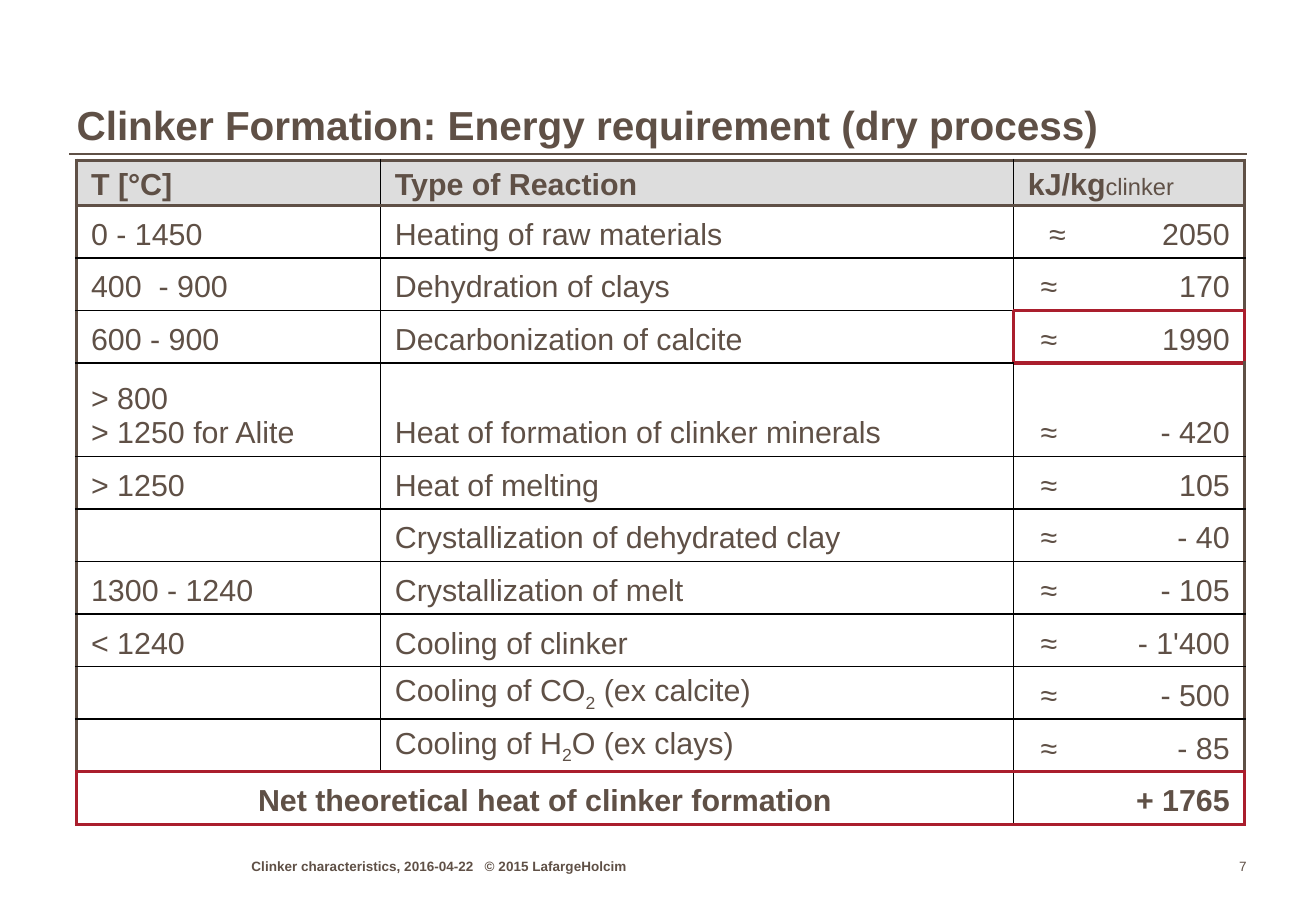
import lxml.etree
import pptx
import pptx.dml.color
import pptx.enum.shapes
import pptx.enum.text
import pptx.oxml.ns
import pptx.util

Inches, Pt = pptx.util.Inches, pptx.util.Pt
RGBColor = pptx.dml.color.RGBColor
ALIGN = pptx.enum.text.PP_ALIGN
BOTTOM = pptx.enum.text.MSO_ANCHOR.BOTTOM
qn = pptx.oxml.ns.qn

BROWN = RGBColor(0x5F, 0x50, 0x46)
BLACK = RGBColor(0, 0, 0)
RED = RGBColor(0xAA, 0x1E, 0x2D)
GREY = RGBColor(0xDD, 0xDD, 0xDD)
NO_STYLE = "{2D5ABB26-0587-4C30-8999-92F81FD0307C}"

COLUMN_WIDTHS = [2.5, 5.21, 0.55, 1.35]
HEADER = ["T [°C]", "Type of Reaction", "kJ/kg"]
# A number between underscores is set as a subscript.
REACTIONS = [
    ("0 - 1450", "Heating of raw materials", "≈", "2050"),
    ("400  - 900", "Dehydration of clays", "≈ ", "170"),
    ("600 - 900", "Decarbonization of calcite", "≈ ", "1990"),
    ("> 800\v> 1250 for Alite", "Heat of formation of clinker minerals", "≈ ", "- 420"),
    ("> 1250", "Heat of melting", "≈ ", "105"),
    ("", "Crystallization of dehydrated clay", "≈ ", "- 40"),
    ("1300 - 1240", "Crystallization of melt", "≈ ", "- 105"),
    ("< 1240", "Cooling of clinker", "≈ ", "- 1'400"),
    ("", "Cooling of CO_2_ (ex calcite)", "≈ ", "- 500"),
    ("", "Cooling of H_2_O (ex clays)", "≈ ", "- 85"),
]
TOTAL = ["Net theoretical heat of clinker formation", "", "", "+ 1765"]
ROWS = [HEADER + [""], *REACTIONS, TOTAL]
TOTAL_ROW = len(ROWS) - 1
DECARBONIZATION_ROW = 3
TWO_LINE_ROW = 4


def set_font(p, size, bold=False):
    p.font.name = "Arial"
    p.font.size = Pt(size)
    p.font.bold = bold
    p.font.color.rgb = BROWN


def horizontal_edge(row, col):
    """Colour of the line above a row."""
    if row >= TOTAL_ROW:
        return RED
    if col >= 2 and row in (DECARBONIZATION_ROW, DECARBONIZATION_ROW + 1):
        return RED
    return BROWN if row <= 1 else BLACK


def vertical_edge(row, col):
    """Colour of the line left of a column, or None inside the value columns."""
    if col == 3:
        return None
    if row == DECARBONIZATION_ROW and col in (2, 4):
        return RED
    if col in (0, 4):
        return RED if row == TOTAL_ROW else BROWN
    return BLACK


def set_borders(cell, row, col):
    width = cell.span_width if cell.is_merge_origin else 1
    edges = {"L": vertical_edge(row, col), "R": vertical_edge(row, col + width),
             "T": horizontal_edge(row, col), "B": horizontal_edge(row + 1, col)}
    tc_pr = cell._tc.get_or_add_tcPr()
    for side, color in edges.items():
        ln = lxml.etree.SubElement(tc_pr, qn(f"a:ln{side}"))
        if color is None:
            lxml.etree.SubElement(ln, qn("a:noFill"))
            continue
        ln.set("w", str(Pt(1 if color == BLACK else 2.25)))
        fill = lxml.etree.SubElement(ln, qn("a:solidFill"))
        lxml.etree.SubElement(fill, qn("a:srgbClr"), val=str(color))


def fill_cell(cell, row, col, text):
    set_borders(cell, row, col)
    cell.margin_left = cell.margin_right = Inches(0.12)
    cell.margin_top = cell.margin_bottom = Inches(0.05)
    cell.vertical_anchor = BOTTOM
    p = cell.text_frame.paragraphs[0]
    if "_" in text:
        for i, part in enumerate(text.split("_")):
            r = p.add_run()
            r.text = part
            if i % 2:
                r._r.get_or_add_rPr().set("baseline", "-25000")
    else:
        p.text = text
    set_font(p, 18, bold=row in (0, TOTAL_ROW))
    if row == 0:
        p.line_spacing = 0.5
        cell.fill.solid()
        cell.fill.fore_color.rgb = GREY
    else:
        cell.fill.background()
        if col >= 2:
            p.alignment = ALIGN.RIGHT
        elif row == TOTAL_ROW:
            p.alignment = ALIGN.CENTER


def add_energy_table(slide, x, y, w, h):
    table = slide.shapes.add_table(len(ROWS), len(COLUMN_WIDTHS), Inches(x), Inches(y),
                                   Inches(w), Inches(h)).table
    table.first_row = table.horz_banding = False
    table._tbl.tblPr.find(qn("a:tableStyleId")).text = NO_STYLE
    for column, width in zip(table.columns, COLUMN_WIDTHS):
        column.width = Inches(width)
    special = {0: 0.37, TWO_LINE_ROW: 0.77}
    regular = (h - sum(special.values())) / (len(ROWS) - len(special))
    for i, row in enumerate(table.rows):
        row.height = Inches(special.get(i, regular))
    table.cell(0, 2).merge(table.cell(0, 3))
    table.cell(TOTAL_ROW, 0).merge(table.cell(TOTAL_ROW, 1))
    for i, texts in enumerate(ROWS):
        for j, text in enumerate(texts):
            cell = table.cell(i, j)
            if not cell.is_spanned:
                fill_cell(cell, i, j, text)
    unit = table.cell(0, 2).text_frame.paragraphs[0].add_run()
    unit.text = "clinker"
    unit.font.size = Pt(14)
    unit.font.bold = False


def place_text(sp, text, x, y, w, h, size, bold=False, align=ALIGN.LEFT):
    sp.left, sp.top, sp.width, sp.height = map(Inches, (x, y, w, h))
    tf = sp.text_frame
    tf.word_wrap = True
    tf.auto_size = pptx.enum.text.MSO_AUTO_SIZE.NONE
    tf.margin_left = tf.margin_right = tf.margin_top = tf.margin_bottom = 0
    tf.vertical_anchor = BOTTOM
    p = tf.paragraphs[0]
    p.text = text
    p.alignment = align
    set_font(p, size, bold)
    return p


def add_heading(slide, x, y, w, h):
    line_y = Inches(y + h + 0.04)
    rule = slide.shapes.add_connector(pptx.enum.shapes.MSO_CONNECTOR.STRAIGHT,
                                      Inches(x - 0.06), line_y, Inches(x + w + 0.03), line_y)
    rule.line.color.rgb = BROWN
    rule.line.width = Pt(1)
    lxml.etree.SubElement(rule._element.spPr, qn("a:effectLst"))
    p = place_text(slide.shapes.title, "Clinker Formation: Energy requirement (dry process)",
                   x, y, w, h, 24, bold=True)
    p.line_spacing = 0.95


def add_footer(slide, x, y, w, h):
    note = slide.shapes.add_textbox(0, 0, 0, 0)
    place_text(note, "Clinker characteristics, 2016-04-22   © 2015 LafargeHolcim",
               x, y, 3.47, h, 8, bold=True)
    number = slide.shapes.add_textbox(0, 0, 0, 0)
    place_text(number, "7", x + w - 0.47, y, 0.47, h, 8, align=ALIGN.RIGHT)


def main():
    prs = pptx.Presentation()
    prs.slide_width, prs.slide_height = Inches(10.83), Inches(7.5)
    slide = prs.slides.add_slide(prs.slide_layouts[5])
    add_heading(slide, 0.63, 0.36, 9.6, 0.87)
    add_energy_table(slide, 0.63, 1.32, 9.61, 5.47)
    add_footer(slide, 2.07, 7.02, 8.19, 0.18)
    prs.save("out.pptx")


if __name__ == "__main__":
    main()
